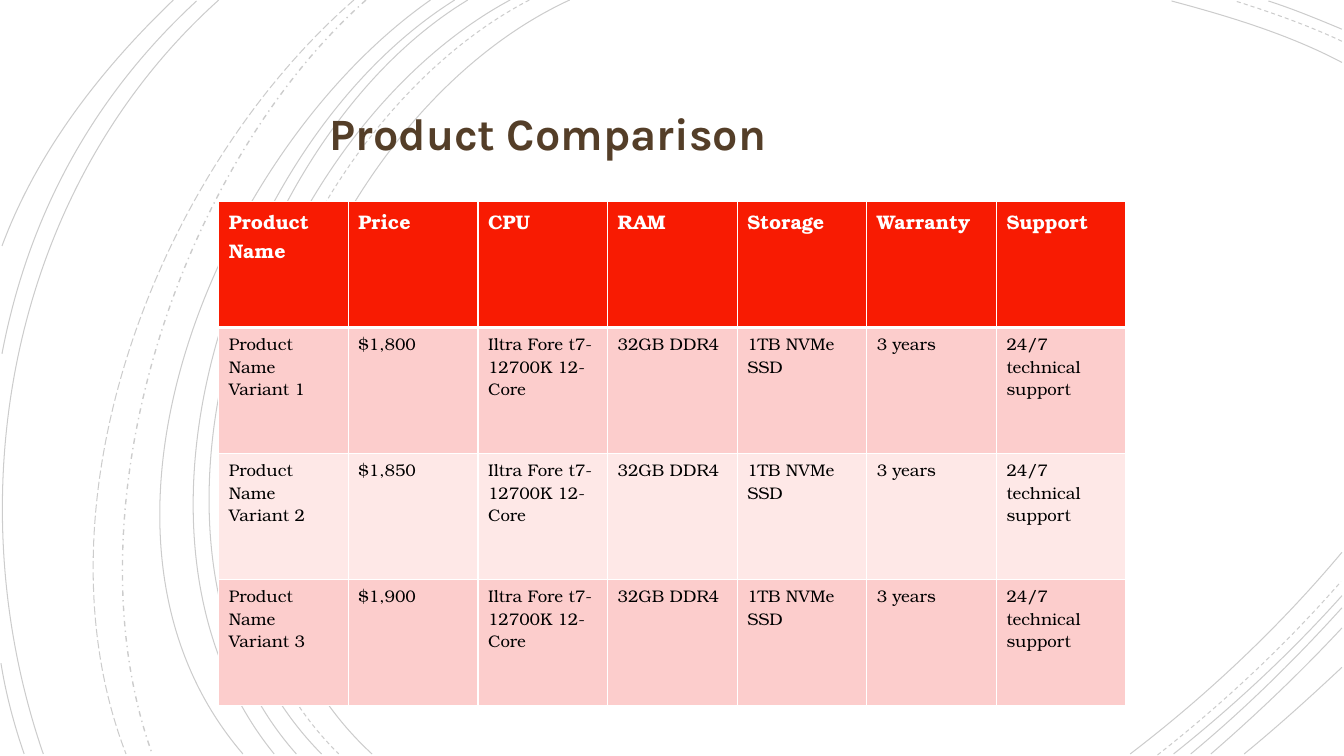
from lxml.etree import SubElement
from pptx import Presentation
from pptx.dml.color import RGBColor
from pptx.enum.dml import MSO_LINE
from pptx.enum.text import MSO_ANCHOR, MSO_AUTO_SIZE, PP_ALIGN
from pptx.oxml.ns import qn
from pptx.util import Pt

PX = 9144
BODY_FONT = "TeX Gyre Bonum"
SOLID, DASH = MSO_LINE.SOLID, MSO_LINE.DASH
DASH_DOT, LONG_DASH = MSO_LINE.DASH_DOT, MSO_LINE.LONG_DASH

ARCS = [
    (SOLID, (565, 0), (315, 115), (143, 540), (369, 748)),
    (SOLID, (1331, 62), (1278, 34), (1218, 16), (1162, 1)),
    (SOLID, (1121, 748), (1197, 690), (1269, 622), (1331, 548)),
    (DASH, (525, 0), (285, 125), (123, 537), (336, 748)),
    (DASH, (1331, 41), (1297, 25), (1260, 12), (1225, 1)),
    (DASH, (1148, 749), (1213, 698), (1275, 640), (1330, 577)),
    (SOLID, (506, 0), (270, 127), (110, 537), (319, 748)),
    (SOLID, (1331, 29), (1307, 19), (1283, 9), (1258, 1)),
    (SOLID, (1164, 748), (1223, 701), (1280, 648), (1331, 591)),
    (SOLID, (464, 0), (244, 133), (110, 541), (294, 748)),
    (SOLID, (1181, 748), (1234, 704), (1284, 655), (1331, 603)),
    (SOLID, (451, 0), (231, 138), (97, 533), (272, 748)),
    (SOLID, (1201, 748), (1246, 709), (1290, 667), (1331, 623)),
    (SOLID, (427, 0), (217, 147), (53, 529), (241, 748)),
    (SOLID, (1234, 748), (1267, 721), (1299, 692), (1331, 662)),
    (DASH_DOT, (363, 0), (176, 166), (65, 509), (151, 748)),
    (LONG_DASH, (351, 0), (157, 169), (29, 499), (125, 748)),
    (SOLID, (217, 0), (11, 185), (-46, 490), (43, 748)),
    (SOLID, (195, 1), (92, 96), (28, 214), (2, 351)),
    (SOLID, (1, 658), (6, 689), (14, 719), (24, 748)),
    (SOLID, (172, 0), (100, 69), (37, 150), (2, 244)),
]

HEADINGS = ["Product Name", "Price", "CPU", "RAM", "Storage", "Warranty", "Support"]
PRICES = ["$1,800", "$1,850", "$1,900"]
SHARED_SPECS = ["Iltra Fore t7-12700K 12-Core", "32GB DDR4", "1TB NVMe SSD",
                "3 years", "24/7 technical support"]


def color(hex_code):
    return RGBColor.from_string(hex_code)


def write(frame, text, *, size, font, ink, bold=False):
    paragraph = frame.paragraphs[0]
    paragraph.alignment = PP_ALIGN.LEFT
    run = paragraph.add_run()
    run.text = text
    run.font.size = Pt(size)
    run.font.name = font
    run.font.bold = bold
    run.font.color.rgb = color(ink)


def add_arc(slide, dash, start, *controls):
    builder = slide.shapes.build_freeform(*start, scale=PX)
    builder.add_line_segments(controls, close=False)
    arc = builder.convert_to_shape()
    arc.shadow.inherit = False
    arc.fill.background()
    arc.line.width = Pt(1 if dash == DASH_DOT else 0.75)
    arc.line.dash_style = dash
    arc.line.color.rgb = color("000000")
    ink = next(arc.element.spPr.iter(qn("a:srgbClr")))
    SubElement(ink, qn("a:alpha"), val="20000")

    outline = next(arc.element.iter(qn("a:path")))
    curve = SubElement(outline, qn("a:cubicBezTo"))
    for segment in outline.findall(qn("a:lnTo")):
        curve.append(segment[0])
        outline.remove(segment)


def add_title(slide, text):
    title = slide.shapes.title
    title.element.getparent().append(title.element)
    title.left, title.top, title.width, title.height = (
        value * PX for value in (317, 100, 700, 200))
    frame = title.text_frame
    frame.word_wrap = False
    frame.auto_size = MSO_AUTO_SIZE.NONE
    frame.vertical_anchor = MSO_ANCHOR.TOP
    write(frame, text, size=32, font="Karla", ink="543E28", bold=True)


def add_borders(cell, bottom_width):
    properties = cell._tc.get_or_add_tcPr()
    for side, width in (("L", 1), ("R", 1), ("T", 1), ("B", bottom_width)):
        border = SubElement(properties, qn(f"a:ln{side}"), w=str(Pt(width)))
        fill = SubElement(border, qn("a:solidFill"))
        SubElement(fill, qn("a:srgbClr"), val="FFFFFF")


def add_comparison(slide, rows):
    frame = slide.shapes.add_table(
        len(rows), len(HEADINGS), 217 * PX, 200 * PX, 900 * PX, 500 * PX)
    for row_index, row in enumerate(rows):
        is_header = row_index == 0
        band = "F81B02" if is_header else ("FEE8E7", "FCCDCC")[row_index % 2]
        for column_index, text in enumerate(row):
            cell = frame.table.cell(row_index, column_index)
            add_borders(cell, 3 if is_header else 1)
            cell.fill.solid()
            cell.fill.fore_color.rgb = color(band)
            write(cell.text_frame, text, size=14 if is_header else 12,
                  font=BODY_FONT, ink="FFFFFF" if is_header else "000000",
                  bold=is_header)


def main():
    deck = Presentation()
    deck.slide_width, deck.slide_height = 1333 * PX, 750 * PX
    slide = deck.slides.add_slide(deck.slide_layouts[5])
    for arc in ARCS:
        add_arc(slide, *arc)
    add_title(slide, "Product Comparison")
    variants = [[f"Product Name Variant {number}", price, *SHARED_SPECS]
                for number, price in enumerate(PRICES, 1)]
    add_comparison(slide, [HEADINGS, *variants])
    deck.save("out.pptx")


if __name__ == "__main__":
    main()
